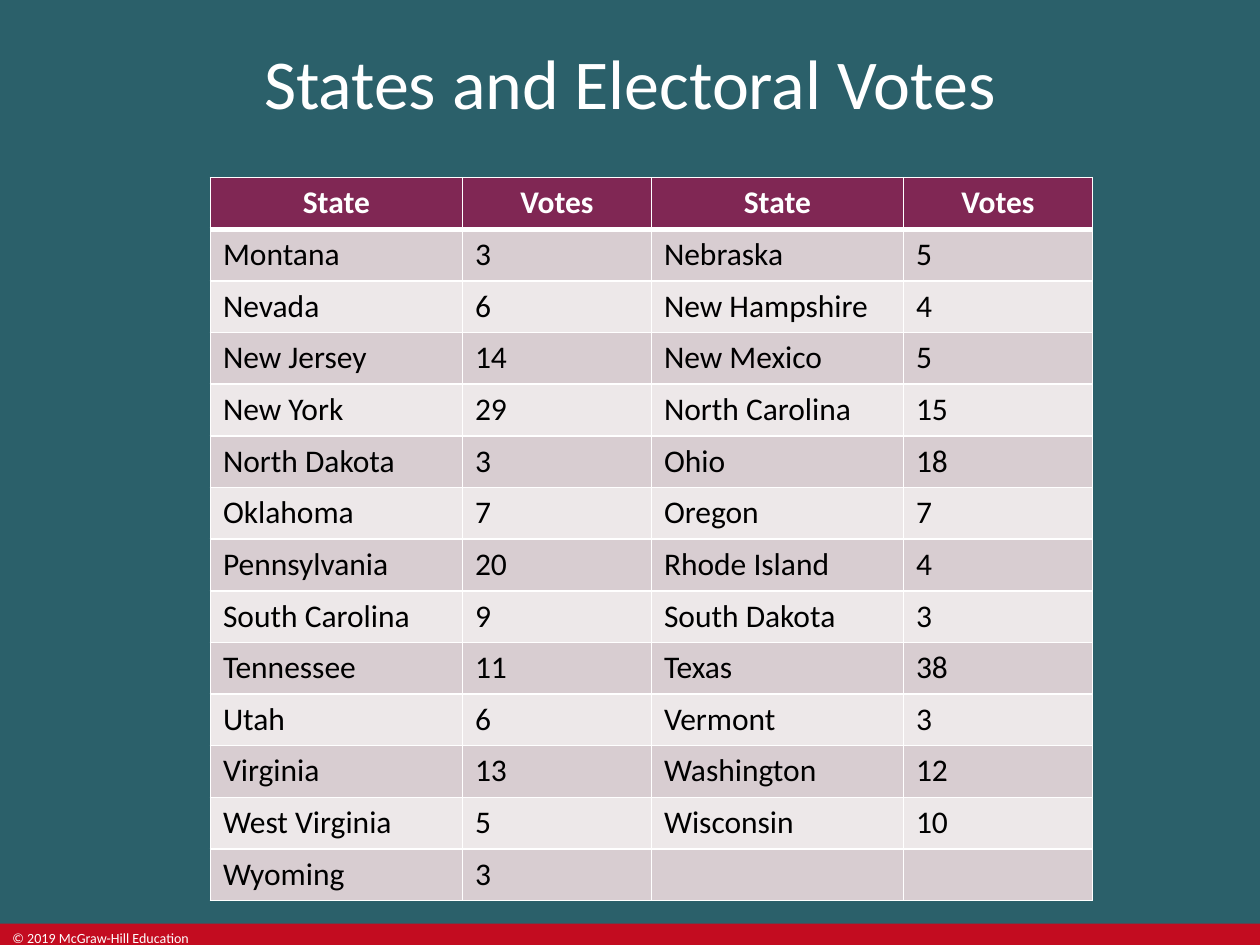
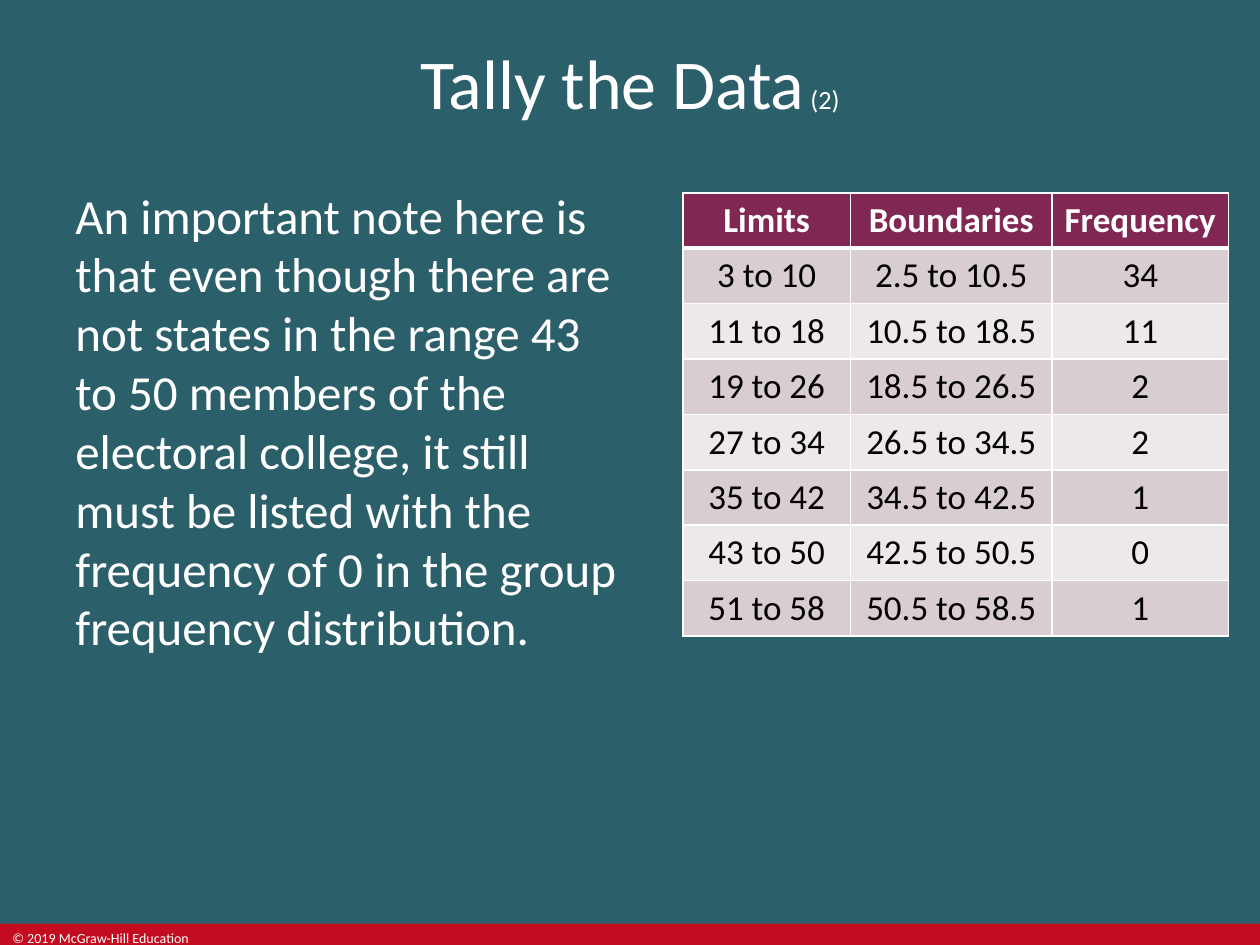
from lxml.etree import SubElement
from pptx import Presentation
from pptx.dml.color import RGBColor
from pptx.enum.shapes import MSO_SHAPE
from pptx.enum.text import MSO_ANCHOR, PP_ALIGN
from pptx.oxml.ns import qn
from pptx.util import Inches, Pt

FONT = "Calibri"
TEAL, RED, PLUM = "2B606A", "C30C20", "802754"
DARK_BAND, LIGHT_BAND = "D8CDD1", "EDE8E9"
WHITE, BLACK = "FFFFFF", "000000"
SLIDE_WIDTH, SLIDE_HEIGHT = 10, 7.5
FOOTER_HEIGHT = 0.17

STATE_ROWS = [
    ("State", "Votes", "State", "Votes"),
    ("Montana", "3", "Nebraska", "5"),
    ("Nevada", "6", "New Hampshire", "4"),
    ("New Jersey", "14", "New Mexico", "5"),
    ("New York", "29", "North Carolina", "15"),
    ("North Dakota", "3", "Ohio", "18"),
    ("Oklahoma", "7", "Oregon", "7"),
    ("Pennsylvania", "20", "Rhode Island", "4"),
    ("South Carolina", "9", "South Dakota", "3"),
    ("Tennessee", "11", "Texas", "38"),
    ("Utah", "6", "Vermont", "3"),
    ("Virginia", "13", "Washington", "12"),
    ("West Virginia", "5", "Wisconsin", "10"),
    ("Wyoming", "3", "", ""),
]
TALLY_ROWS = [
    ("Limits", "Boundaries", "Frequency"),
    ("3 to 10", "2.5 to 10.5", "34"),
    ("11 to 18", "10.5 to 18.5", "11"),
    ("19 to 26", "18.5 to 26.5", "2"),
    ("27 to 34", "26.5 to 34.5", "2"),
    ("35 to 42", "34.5 to 42.5", "1"),
    ("43 to 50", "42.5 to 50.5", "0"),
    ("51 to 58", "50.5 to 58.5", "1"),
]
TALLY_NOTE = (
    "An important note here is that even though there are not states in the "
    "range 43 to 50 members of the electoral college, it still must be listed "
    "with the frequency of 0 in the group frequency distribution."
)


def set_fill(fill, color):
    """Make a fill solid in a hex colour."""
    fill.solid()
    fill.fore_color.rgb = RGBColor.from_string(color)


def add_run(paragraph, text, size, color=WHITE, bold=False):
    """Append one styled run to a paragraph."""
    run = paragraph.add_run()
    run.text = text
    run.font.name = FONT
    run.font.size = Pt(size)
    run.font.bold = bold
    run.font.color.rgb = RGBColor.from_string(color)


def add_text(slide, box, runs, alignment=PP_ALIGN.LEFT, anchor=MSO_ANCHOR.TOP):
    """Add a wrapped text box holding one paragraph of (text, size) runs."""
    frame = slide.shapes.add_textbox(*map(Inches, box)).text_frame
    frame.word_wrap = True
    frame.vertical_anchor = anchor
    paragraph = frame.paragraphs[0]
    paragraph.alignment = alignment
    for text, size in runs:
        add_run(paragraph, text, size)


def add_footer(slide, box):
    """Draw the footer band with its copyright line."""
    left, top, width, height = box
    band = slide.shapes.add_shape(MSO_SHAPE.RECTANGLE, *map(Inches, box))
    band.shadow.inherit = False
    set_fill(band.fill, RED)
    band.line.fill.background()
    add_text(slide, (left, top, 1.7, height), [("© 2019 McGraw-Hill Education", 8)])


def add_titled_slide(presentation, title_runs):
    """Add a slide with the shared background, footer and title."""
    slide = presentation.slides.add_slide(presentation.slide_layouts[6])
    set_fill(slide.background.fill, TEAL)
    footer_top = SLIDE_HEIGHT - FOOTER_HEIGHT
    add_footer(slide, (0, footer_top, SLIDE_WIDTH, FOOTER_HEIGHT))
    add_text(slide, (0, 0, SLIDE_WIDTH, 1.3), title_runs,
             PP_ALIGN.CENTER, MSO_ANCHOR.MIDDLE)
    return slide


def add_borders(cell, **widths):
    """Give a cell white borders, 1 point wide unless a side says otherwise."""
    properties = cell._tc.get_or_add_tcPr()
    for side in "LRTB":
        line = SubElement(properties, qn(f"a:ln{side}"), w=str(Pt(widths.get(side, 1))))
        solid = SubElement(line, qn("a:solidFill"))
        SubElement(solid, qn("a:srgbClr"), val=WHITE)


def add_banded_table(slide, left, top, column_widths, row_height, rows, size, body_alignment):
    """Add a table with a plum header and alternating body rows."""
    frame = slide.shapes.add_table(
        len(rows), len(column_widths), Inches(left), Inches(top),
        Inches(sum(column_widths)), Inches(row_height * len(rows)))
    table = frame.table
    table.horz_banding = False
    for column, width in zip(table.columns, column_widths):
        column.width = Inches(width)
    for row_index, values in enumerate(rows):
        table.rows[row_index].height = Inches(row_height)
        header = row_index == 0
        band = DARK_BAND if row_index % 2 else LIGHT_BAND
        for column_index, value in enumerate(values):
            cell = table.cell(row_index, column_index)
            add_borders(cell, B=3 if header else 1, T=3 if row_index == 1 else 1)
            set_fill(cell.fill, PLUM if header else band)
            paragraph = cell.text_frame.paragraphs[0]
            paragraph.alignment = PP_ALIGN.CENTER if header else body_alignment
            if value:
                add_run(paragraph, value, size, WHITE if header else BLACK, header)


def build_states_slide(presentation):
    """Build the slide listing states and their electoral votes."""
    slide = add_titled_slide(presentation, [("States and Electoral Votes", 40)])
    add_banded_table(slide, 1.67, 1.41, (2, 1.5, 2, 1.5), 0.41,
                     STATE_ROWS, 18, PP_ALIGN.LEFT)


def build_tally_slide(presentation):
    """Build the slide with a note beside the frequency table."""
    slide = add_titled_slide(presentation, [("Tally the Data", 40), (" (2)", 15)])
    add_text(slide, (0.5, 1.42, 4.6, 5.75), [(TALLY_NOTE, 28)])
    add_banded_table(slide, 5.42, 1.53, (1.33, 1.6, 1.4), 0.44,
                     TALLY_ROWS, 20, PP_ALIGN.CENTER)


def main():
    """Build and save the presentation."""
    presentation = Presentation()
    presentation.slide_width = Inches(SLIDE_WIDTH)
    presentation.slide_height = Inches(SLIDE_HEIGHT)
    build_states_slide(presentation)
    build_tally_slide(presentation)
    presentation.save("out.pptx")


if __name__ == "__main__":
    main()
